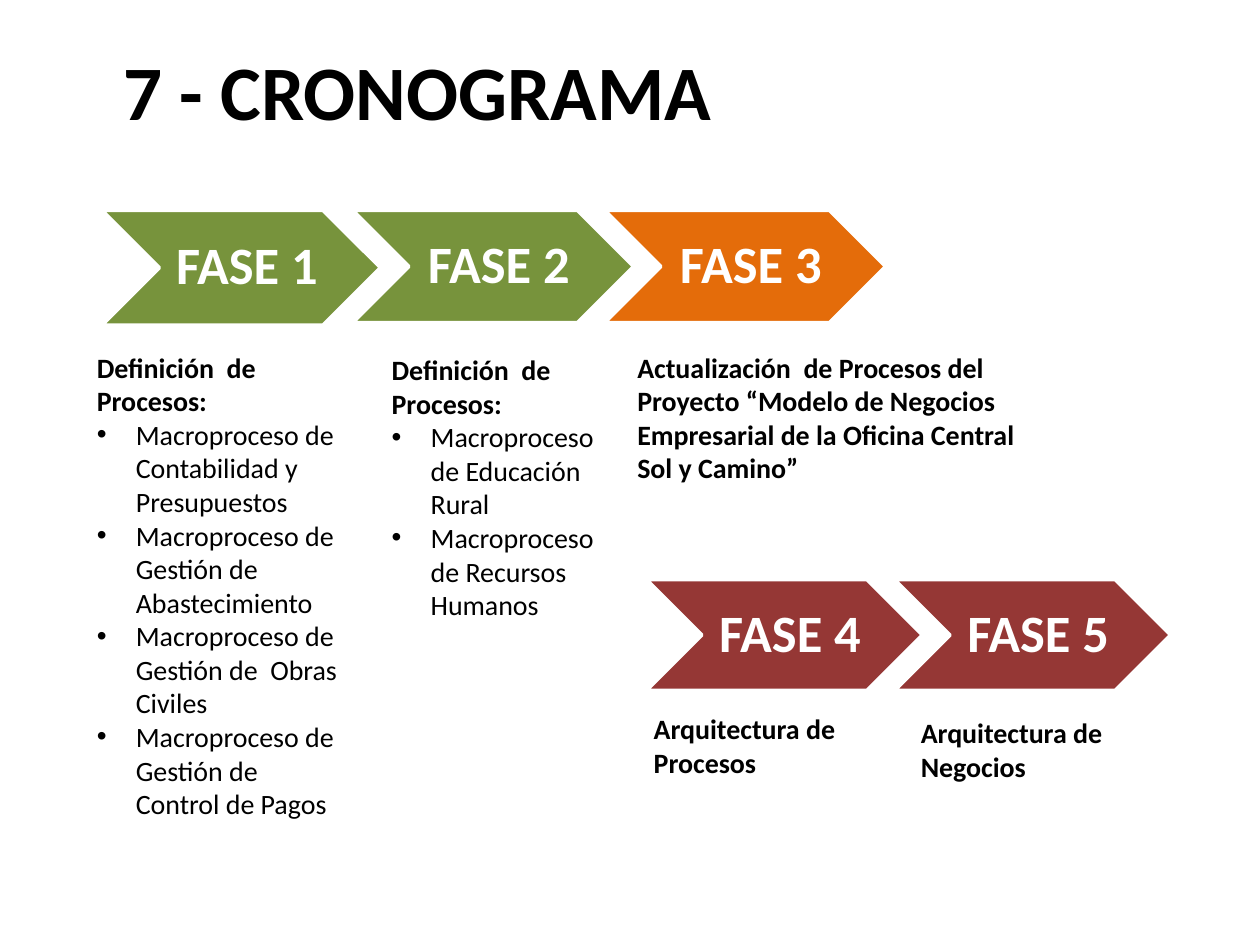
from pptx import Presentation
from pptx.dml.color import RGBColor
from pptx.enum.shapes import MSO_SHAPE as Shape
from pptx.enum.text import MSO_ANCHOR as Anchor, PP_ALIGN as Align
from pptx.oxml.ns import qn
from pptx.util import Inches, Pt
from lxml import etree

BLACK = RGBColor(0x00, 0x00, 0x00)
WHITE = RGBColor(0xFF, 0xFF, 0xFF)
GREEN = RGBColor(0x77, 0x93, 0x3C)
ORANGE = RGBColor(0xE4, 0x6C, 0x0A)
RED = RGBColor(0x95, 0x37, 0x35)

deck = Presentation()
deck.slide_width = Inches(10)
deck.slide_height = Inches(7.5)
page = deck.slides.add_slide(deck.slide_layouts[6])


def write(para, text, size=16, color=BLACK, bold=True, align=Align.LEFT, bullet=False):
    para.alignment = align
    span = para.add_run()
    span.text = text
    span.font.name = "Calibri"
    span.font.size = Pt(size)
    span.font.bold = bold
    span.font.color.rgb = color
    if bullet:
        props = para._p.get_or_add_pPr()
        props.set("marL", str(Inches(0.31)))
        props.set("indent", str(-Inches(0.31)))
        etree.SubElement(props, qn("a:buFont")).set("typeface", "Arial")
        etree.SubElement(props, qn("a:buChar")).set("char", "•")


def add_box(left, top, width, height):
    box = page.shapes.add_textbox(Inches(left), Inches(top), Inches(width), Inches(height))
    box.text_frame.word_wrap = True
    return box.text_frame


# Title
title = add_box(-0.02, 0.21, 6.67, 1)
title.vertical_anchor = Anchor.MIDDLE
write(title.paragraphs[0], "7 - CRONOGRAMA", size=44, align=Align.CENTER)

# Phase chevrons, numbered in order
phases = [
    (0.81, 1.67, 2.21, 0.91, GREEN),
    (2.8, 1.67, 2.23, 0.89, GREEN),
    (4.8, 1.67, 2.23, 0.89, ORANGE),
    (5.13, 4.6, 2.19, 0.88, RED),
    (7.1, 4.6, 2.19, 0.88, RED),
]
for number, (left, top, width, height, color) in enumerate(phases, start=1):
    chevron = page.shapes.add_shape(
        Shape.CHEVRON, Inches(left), Inches(top), Inches(width), Inches(height))
    chevron.shadow.inherit = False
    chevron.fill.solid()
    chevron.fill.fore_color.rgb = color
    chevron.line.color.rgb = WHITE
    chevron.line.width = Pt(2)
    frame = chevron.text_frame
    frame.word_wrap = False
    frame.vertical_anchor = Anchor.MIDDLE
    frame.margin_left = Inches(0.13)
    frame.margin_right = frame.margin_top = frame.margin_bottom = Inches(0.04)
    para = frame.paragraphs[0]
    para.line_spacing = 0.9
    write(para, f"FASE {number}", size=30, color=WHITE, align=Align.CENTER)

# Phase descriptions: bold heading, then bulleted processes
descriptions = [
    (0.67, 2.73, 2.11, 4.48, "Definición  de Procesos:", [
        "Macroproceso de Contabilidad y Presupuestos",
        "Macroproceso de Gestión de Abastecimiento",
        "Macroproceso de Gestión de  Obras Civiles",
        "Macroproceso de Gestión de Control de Pagos",
    ]),
    (3.01, 2.75, 1.95, 2.86, "Definición  de Procesos:", [
        "Macroproceso de Educación Rural",
        "Macroproceso de Recursos Humanos",
    ]),
    (4.96, 2.73, 3.24, 1.48,
     "Actualización  de Procesos del Proyecto “Modelo de Negocios "
     "Empresarial de la Oficina Central Sol y Camino”", []),
    (5.09, 5.6, 2.33, 0.64, "Arquitectura de Procesos", []),
    (7.21, 5.63, 2.1, 0.94, "Arquitectura de Negocios", []),
]
for left, top, width, height, heading, processes in descriptions:
    frame = add_box(left, top, width, height)
    write(frame.paragraphs[0], heading)
    for process in processes:
        write(frame.add_paragraph(), process, bold=False, bullet=True)

deck.save("out.pptx")
